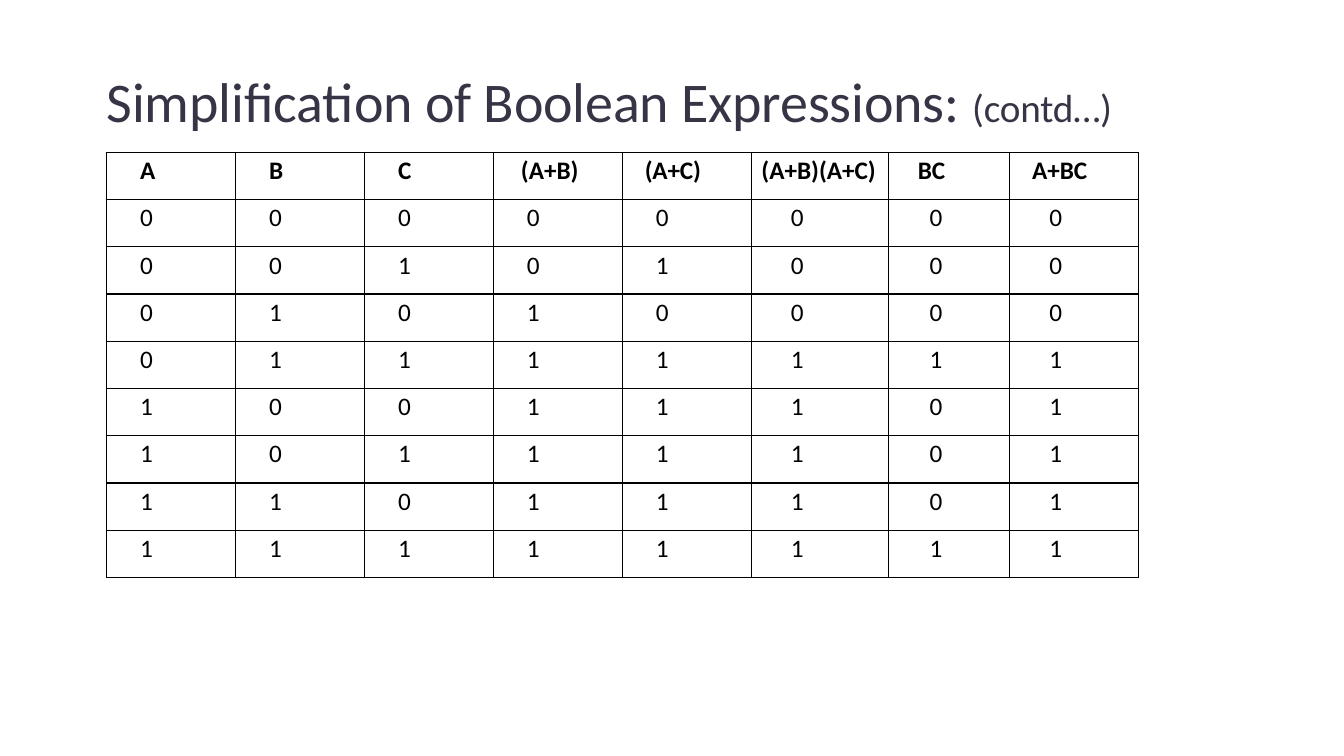
from dataclasses import dataclass

import pptx
import pptx.dml.color
import pptx.enum.text
import pptx.oxml
import pptx.oxml.ns
import pptx.util

Cm, Pt = pptx.util.Cm, pptx.util.Pt
RGB = pptx.dml.color.RGBColor
ALIGN = pptx.enum.text.PP_ALIGN
LEFT, CENTER, RIGHT = ALIGN.LEFT, ALIGN.CENTER, ALIGN.RIGHT

TITLE = "Simplification of Boolean Expressions: "
TITLE_NOTE = "(contd…)"

# heading, width, alignment, heading inset, value inset (cm)
COLUMNS = [
    ("A", 3.25, LEFT, 0.84, 0.84),
    ("B", 3.25, LEFT, 0.84, 0.84),
    ("C", 3.25, LEFT, 0.84, 0.84),
    ("(A+B)", 3.25, LEFT, 0.69, 0.84),
    ("(A+C)", 3.25, LEFT, 0.56, 0.84),
    ("(A+B)(A+C)", 3.46, LEFT, 0.25, 0.99),
    ("BC", 3.05, RIGHT, 1.63, 1.7),
    ("A+BC", 3.25, CENTER, 0.74, 0.94),
]
TRUTH_ROWS = [
    "00000000",
    "00101000",
    "01010000",
    "01111111",
    "10011101",
    "10111101",
    "11011101",
    "11111111",
]


@dataclass
class Theme:
    font: str = "Calibri"
    title: RGB = RGB(0x37, 0x35, 0x45)
    ink: RGB = RGB(0, 0, 0)
    title_size: int = 40
    note_size: int = 28
    cell_size: int = 18
    border: int = Pt(1)


theme = Theme()
MARGIN = Cm(2.69)
TABLE_TOP = Cm(3.84)
ROW_HEIGHT = Cm(1.19)


def style_run(r, size, color, bold=False, spacing=0):
    """Format a run; spacing is in hundredths of a point."""
    r.font.name = theme.font
    r.font.size = Pt(size)
    r.font.color.rgb = color
    r.font.bold = bold
    if spacing:
        r.font._element.set("spc", str(spacing))


def add_borders(cell):
    tcPr = cell._tc.get_or_add_tcPr()
    for i, side in enumerate(("lnL", "lnR", "lnT", "lnB")):
        tcPr.insert(i, pptx.oxml.parse_xml(
            f'<a:{side} {pptx.oxml.ns.nsdecls("a")} w="{theme.border}">'
            f'<a:solidFill><a:srgbClr val="{theme.ink}"/></a:solidFill>'
            f'</a:{side}>'))


def fill_cell(cell, text, align, inset, bold, spacing):
    cell.fill.background()
    cell.margin_left = cell.margin_right = cell.margin_bottom = 0
    cell.margin_top = Cm(0.08)
    if align == LEFT:
        cell.margin_left = Cm(inset)
    else:
        cell.margin_right = Cm(inset)
    cell.text_frame.text = text
    p = cell.text_frame.paragraphs[0]
    p.alignment = align
    style_run(p.runs[0], theme.cell_size, theme.ink, bold, spacing)
    add_borders(cell)


def add_title(s):
    tf = s.shapes.add_textbox(MARGIN, Cm(1.65), Cm(25.6), Cm(1.75)).text_frame
    tf.word_wrap = True
    tf.margin_left = tf.margin_right = tf.margin_bottom = 0
    tf.margin_top = Cm(0.03)
    p = tf.paragraphs[0]
    for text, size in ((TITLE, theme.title_size), (TITLE_NOTE, theme.note_size)):
        r = p.add_run()
        r.text = text
        style_run(r, size, theme.title, spacing=-10)


def add_truth_table(s):
    rows = [[column[0] for column in COLUMNS], *TRUTH_ROWS]
    width = sum(Cm(column[1]) for column in COLUMNS)
    table = s.shapes.add_table(len(rows), len(COLUMNS), MARGIN, TABLE_TOP,
                               width, ROW_HEIGHT * len(rows)).table
    table.horz_banding = False
    for row in table.rows:
        row.height = ROW_HEIGHT
    for j, (_, col_width, align, head_inset, value_inset) in enumerate(COLUMNS):
        table.columns[j].width = Cm(col_width)
        for i, row in enumerate(rows):
            head = i == 0
            spacing = -10 if row[j] in ("(A+C)", "BC") else 0
            fill_cell(table.cell(i, j), row[j], align,
                      head_inset if head else value_inset, head, spacing)


def main():
    prs = pptx.Presentation()
    prs.slide_width, prs.slide_height = Cm(33.87), Cm(19.05)
    s = prs.slides.add_slide(prs.slide_layouts[6])
    add_title(s)
    add_truth_table(s)
    prs.save("out.pptx")


if __name__ == "__main__":
    main()
